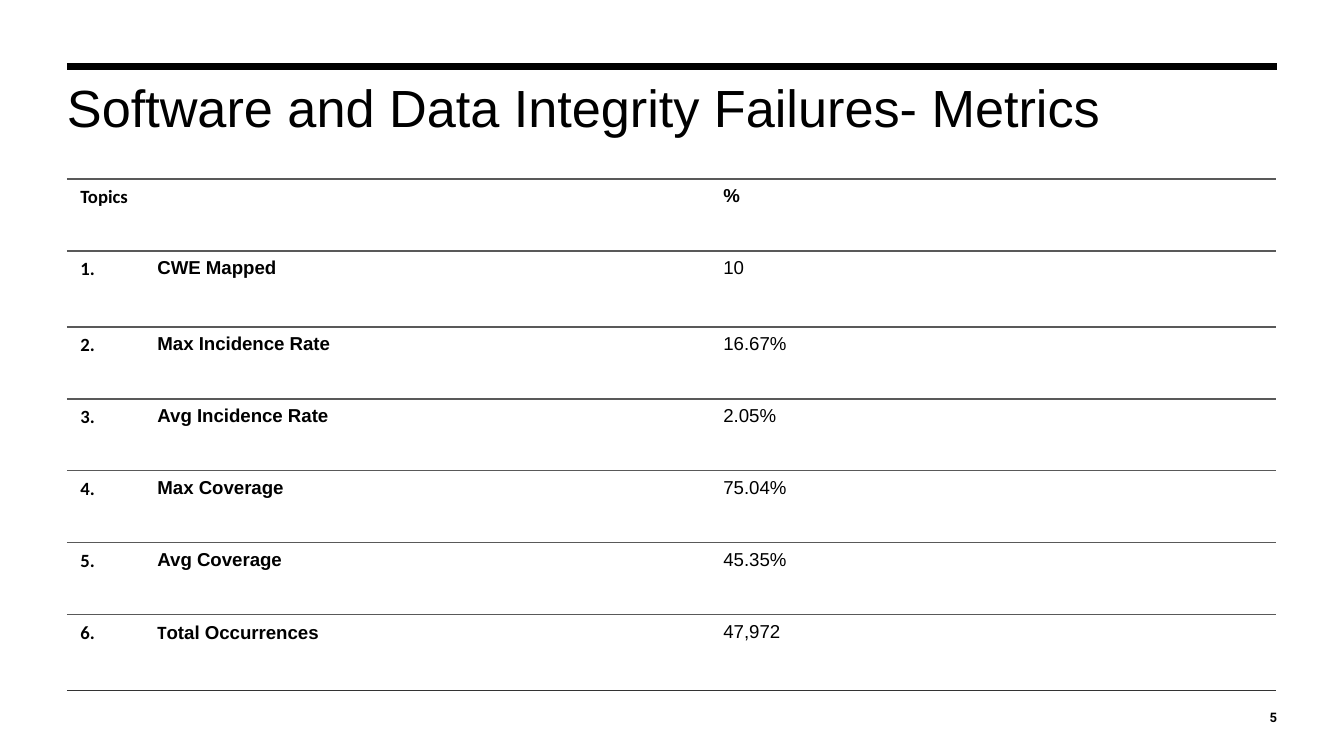
from dataclasses import dataclass

from lxml.etree import SubElement
from pptx import Presentation
from pptx.dml.color import RGBColor
from pptx.enum.shapes import MSO_CONNECTOR
from pptx.enum.text import MSO_ANCHOR, MSO_AUTO_SIZE, PP_ALIGN
from pptx.oxml.ns import qn
from pptx.util import Emu, Pt

EMU_PER_INCH = 914400
PX_PER_INCH = 134.4


@dataclass(frozen=True)
class Theme:
    """Colours, fonts and sizes of the slide."""
    ink: str = "000000"
    paper: str = "FFFFFF"
    divider: str = "595959"
    closing: str = "333333"
    body_font: str = "Arial"
    index_font: str = "Calibri"
    page_font: str = "Roboto"
    title_size: float = 28
    cell_size: float = 10
    page_size: float = 7
    rule_width: float = 3.75
    divider_width: float = 0.75


THEME = Theme()
TITLE = "Software and Data Integrity Failures- Metrics"
COLUMN_WIDTHS = (77, 566, 566)
ROW_HEIGHTS = (72, 76, 72, 72, 72, 72, 76)
METRICS = (
    ("CWE Mapped", "10"),
    ("Max Incidence Rate", "16.67%"),
    ("Avg Incidence Rate", "2.05%"),
    ("Max Coverage", "75.04%"),
    ("Avg Coverage", "45.35%"),
    ("Total Occurrences", "47,972"),
)


def px(length):
    """Turn pixels into EMU."""
    return Emu(round(length * EMU_PER_INCH / PX_PER_INCH))


def apply(target, values):
    """Set each named attribute on the target."""
    for name, value in values.items():
        setattr(target, name, value)


def write(paragraph, text, font, size, bold=False):
    """Add one formatted run to a paragraph."""
    run = paragraph.add_run()
    run.text = text
    apply(run.font, {"name": font, "size": Pt(size), "bold": bold})
    run.font.color.rgb = RGBColor.from_string(THEME.ink)


def set_frame(frame, anchor):
    """Give a text frame no insets, wrapping and a fixed size."""
    apply(frame, {
        "margin_left": 0, "margin_right": 0, "margin_top": 0, "margin_bottom": 0,
        "word_wrap": True, "auto_size": MSO_AUTO_SIZE.NONE, "vertical_anchor": anchor,
    })


def add_rule(slide, left, right, y):
    """Draw the heavy rule above the title."""
    rule = slide.shapes.add_connector(
        MSO_CONNECTOR.STRAIGHT, px(left), px(y), px(right), px(y))
    rule.line.color.rgb = RGBColor.from_string(THEME.ink)
    rule.line.width = Pt(THEME.rule_width)
    SubElement(rule.element.spPr, qn("a:effectLst"))


def fill_title(slide, left, top, width, height):
    """Place and write the slide title."""
    title = slide.shapes.title
    apply(title, {"left": px(left), "top": px(top),
                  "width": px(width), "height": px(height)})
    set_frame(title.text_frame, MSO_ANCHOR.TOP)
    heading = title.text_frame.paragraphs[0]
    apply(heading, {"alignment": PP_ALIGN.LEFT, "line_spacing": 0.8})
    write(heading, TITLE, THEME.body_font, THEME.title_size)


def add_page_number(slide, number, left, top, side):
    """Write the page number in the lower right corner."""
    frame = slide.shapes.add_textbox(px(left), px(top), px(side), px(side)).text_frame
    set_frame(frame, MSO_ANCHOR.BOTTOM)
    frame.paragraphs[0].alignment = PP_ALIGN.RIGHT
    write(frame.paragraphs[0], number, THEME.page_font, THEME.page_size, True)


def style_cell(cell, bottom):
    """Set horizontal borders, open sides and a plain fill."""
    properties = cell._tc.get_or_add_tcPr()
    borders = {"lnL": None, "lnR": None, "lnT": THEME.divider, "lnB": bottom}
    for side, color in borders.items():
        border = SubElement(properties, qn(f"a:{side}"), w=str(Pt(THEME.divider_width)))
        if color:
            SubElement(SubElement(border, qn("a:solidFill")), qn("a:srgbClr"), val=color)
        else:
            SubElement(border, qn("a:noFill"))
    cell.fill.solid()
    cell.fill.fore_color.rgb = RGBColor.from_string(THEME.paper)


def add_metrics_table(slide, left, top):
    """Build the table of numbered metrics."""
    table = slide.shapes.add_table(
        len(ROW_HEIGHTS), len(COLUMN_WIDTHS), px(left), px(top),
        px(sum(COLUMN_WIDTHS)), px(sum(ROW_HEIGHTS))).table
    apply(table, {"first_row": False, "horz_banding": False})
    for column, width in zip(table.columns, COLUMN_WIDTHS):
        column.width = px(width)
    for row, height in zip(table.rows, ROW_HEIGHTS):
        row.height = px(height)

    last = len(METRICS)
    for index in range(last + 1):
        for cell in table.rows[index].cells:
            style_cell(cell, THEME.closing if index == last else THEME.divider)
    table.cell(0, 0).merge(table.cell(0, 1))

    def put(row, column, text, font=THEME.body_font, bold=True):
        """Write text into one table cell."""
        paragraph = table.cell(row, column).text_frame.paragraphs[0]
        write(paragraph, text, font, THEME.cell_size, bold)

    put(0, 0, "Topics", THEME.index_font)
    put(0, 2, "%")
    for index, (topic, value) in enumerate(METRICS, 1):
        put(index, 0, f"{index}.", THEME.index_font)
        if index == last:
            put(index, 1, topic[0], THEME.index_font)
            topic = topic[1:]
        put(index, 1, topic)
        put(index, 2, value, bold=False)


def main():
    """Build and save the slide."""
    deck = Presentation()
    apply(deck, {"slide_width": px(1344), "slide_height": px(756)})
    slide = deck.slides.add_slide(deck.slide_layouts[5])
    add_rule(slide, 67, 1277, 67)
    fill_title(slide, 67, 87, 1042, 83)
    add_page_number(slide, "5", 1243, 691, 34)
    add_metrics_table(slide, 67, 179)
    deck.save("out.pptx")


if __name__ == "__main__":
    main()
